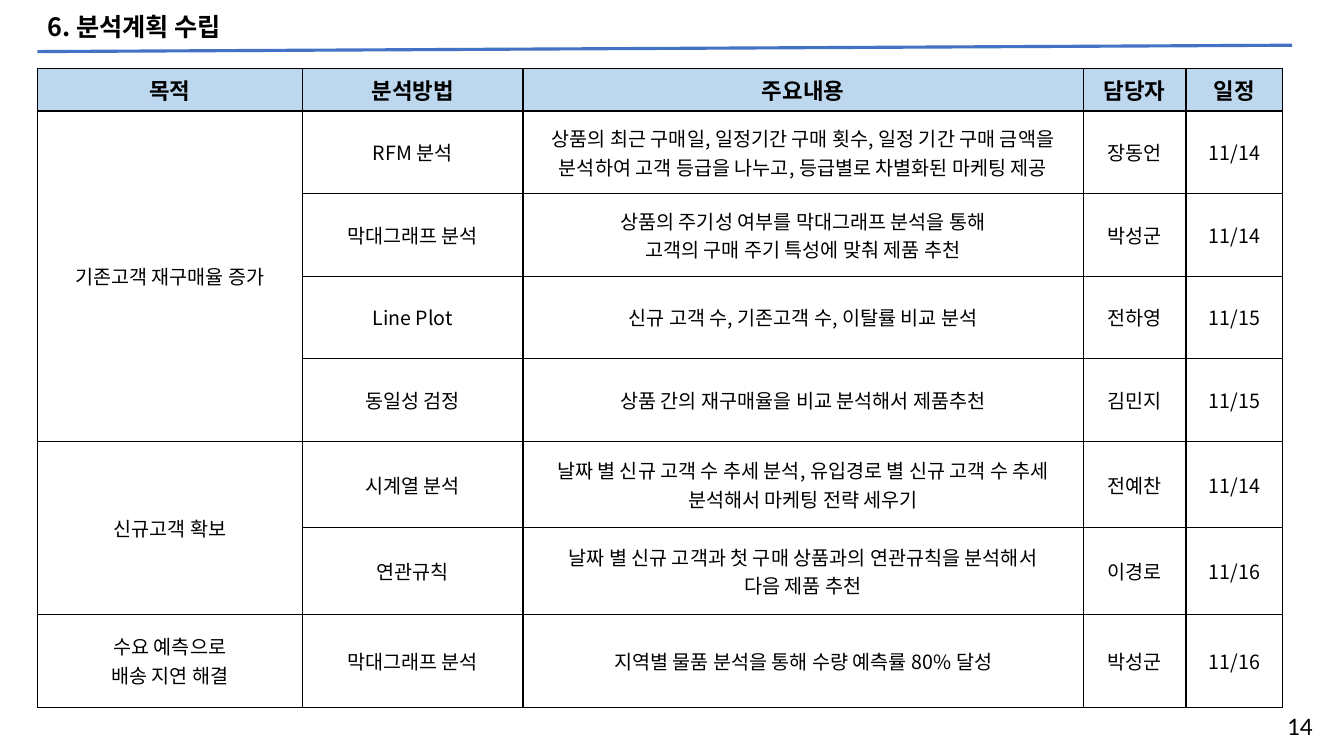
import pptx
import pptx.dml.color
import pptx.enum.shapes
import pptx.enum.text
import pptx.oxml
import pptx.oxml.ns
import pptx.util
from lxml import etree

Cm = pptx.util.Cm
Pt = pptx.util.Pt
ALIGN = pptx.enum.text.PP_ALIGN
MIDDLE = pptx.enum.text.MSO_ANCHOR.MIDDLE
KOREAN_FONT = "Noto Sans CJK KR"
LATIN_FONT = "Calibri"
BLACK, BLUE, PALE_BLUE = "000000", "4472C4", "BDD7EE"

COLUMN_WIDTHS = [6.68, 5.56, 14.12, 2.59, 2.44]
ROW_HEIGHTS = [1.04] + [2.08] * 4 + [2.18] * 2 + [2.34]
HEADINGS = ["목적", "분석방법", "주요내용", "담당자", "일정"]
# Each purpose covers the analyses listed under it
PLAN = [
    ("기존고객 재구매율 증가", [
        ("RFM 분석", "상품의 최근 구매일, 일정기간 구매 횟수, 일정 기간 구매 금액을 "
                   "분석하여 고객 등급을 나누고, 등급별로 차별화된 마케팅 제공", "장동언", "11/14"),
        ("막대그래프 분석", "상품의 주기성 여부를 막대그래프 분석을 통해\n"
                     "고객의 구매 주기 특성에 맞춰 제품 추천", "박성군", "11/14"),
        ("Line Plot", "신규 고객 수, 기존고객 수, 이탈률 비교 분석", "전하영", "11/15"),
        ("동일성 검정", "상품 간의 재구매율을 비교 분석해서 제품추천", "김민지", "11/15"),
    ]),
    ("신규고객 확보", [
        ("시계열 분석", "날짜 별 신규 고객 수 추세 분석, 유입경로 별 신규 고객 수 추세 "
                   "분석해서 마케팅 전략 세우기", "전예찬", "11/14"),
        ("연관규칙", "날짜 별 신규 고객과 첫 구매 상품과의 연관규칙을 분석해서\n"
                 "다음 제품 추천", "이경로", "11/16"),
    ]),
    ("수요 예측으로\n배송 지연 해결", [
        ("막대그래프 분석", "지역별 물품 분석을 통해 수량 예측률 80% 달성", "박성군", "11/16"),
    ]),
]


def colour(value):
    return pptx.dml.color.RGBColor.from_string(value)


def write(frame, text, size, font, alignment, bold=False):
    frame.text = text
    for para in frame.paragraphs:
        para.alignment = alignment
        for span in para.runs:
            span.font.size = Pt(size)
            span.font.bold = bold
            span.font.name = font
            span.font.color.rgb = colour(BLACK)
            east_asian = etree.SubElement(span.font._element, pptx.oxml.ns.qn("a:ea"))
            east_asian.set("typeface", KOREAN_FONT)


def add_borders(cell):
    properties = cell._tc.get_or_add_tcPr()
    for side in ("lnL", "lnR", "lnT", "lnB"):
        properties.append(pptx.oxml.parse_xml(
            f'<a:{side} {pptx.oxml.ns.nsdecls("a")} w="12700"><a:solidFill>'
            f'<a:srgbClr val="{BLACK}"/></a:solidFill></a:{side}>'))


def add_heading(page, left, top, width, height):
    # Title
    title = page.shapes.title
    title.left, title.top, title.width, title.height = (
        Cm(left), Cm(top), Cm(23.22), Cm(height))
    frame = title.text_frame
    frame.auto_size = pptx.enum.text.MSO_AUTO_SIZE.NONE
    frame.vertical_anchor = MIDDLE
    write(frame, "6. 분석계획 수립", 18, KOREAN_FONT, ALIGN.LEFT, bold=True)
    frame.paragraphs[0].line_spacing = 0.9

    # Slightly rising rule under the title
    rule = page.shapes.add_connector(
        pptx.enum.shapes.MSO_CONNECTOR.STRAIGHT,
        Cm(left), Cm(top + height + 0.06), Cm(left + width), Cm(top + height - 0.1))
    rule.line.color.rgb = colour(BLUE)
    rule.line.width = Pt(2.25)
    etree.SubElement(rule._element.spPr, pptx.oxml.ns.qn("a:effectLst"))


def add_plan_table(page, left, top, width, height):
    table = page.shapes.add_table(
        len(ROW_HEIGHTS), len(COLUMN_WIDTHS),
        Cm(left), Cm(top), Cm(width), Cm(height)).table
    for column, size in zip(table.columns, COLUMN_WIDTHS):
        column.width = Cm(size)
    for row, size in zip(table.rows, ROW_HEIGHTS):
        row.height = Cm(size)

    # Borders and fills
    for index, row in enumerate(table.rows):
        for cell in row.cells:
            add_borders(cell)
            cell.vertical_anchor = MIDDLE
            cell.fill.solid()
            cell.fill.fore_color.rgb = colour("FFFFFF" if index else PALE_BLUE)

    # Header row
    for index, heading in enumerate(HEADINGS):
        write(table.cell(0, index).text_frame, heading, 16, LATIN_FONT,
              ALIGN.CENTER, bold=True)

    # Purposes with their analyses
    first = 1
    for purpose, analyses in PLAN:
        purpose_cell = table.cell(first, 0)
        if len(analyses) > 1:
            purpose_cell.merge(table.cell(first + len(analyses) - 1, 0))
        write(purpose_cell.text_frame, purpose, 14, KOREAN_FONT, ALIGN.CENTER)
        for row, analysis in enumerate(analyses, first):
            for column, text in enumerate(analysis, 1):
                write(table.cell(row, column).text_frame, text, 14,
                      KOREAN_FONT, ALIGN.CENTER)
        first += len(analyses)


def add_page_number(page, left, top, width, height):
    box = page.shapes.add_textbox(Cm(left), Cm(top), Cm(width), Cm(height))
    box.text_frame.word_wrap = True
    write(box.text_frame, "14", 18, LATIN_FONT, ALIGN.RIGHT)


def main():
    deck = pptx.Presentation()
    deck.slide_width, deck.slide_height = Cm(33.87), Cm(19.05)
    page = deck.slides.add_slide(deck.slide_layouts.get_by_name("Title Only"))
    add_heading(page, 0.94, 0.2, 31.62, 1.04)
    add_plan_table(page, 0.94, 1.73, sum(COLUMN_WIDTHS), sum(ROW_HEIGHTS))
    add_page_number(page, 30.84, 17.78, 2.49, 1.04)
    deck.save("out.pptx")


if __name__ == "__main__":
    main()
